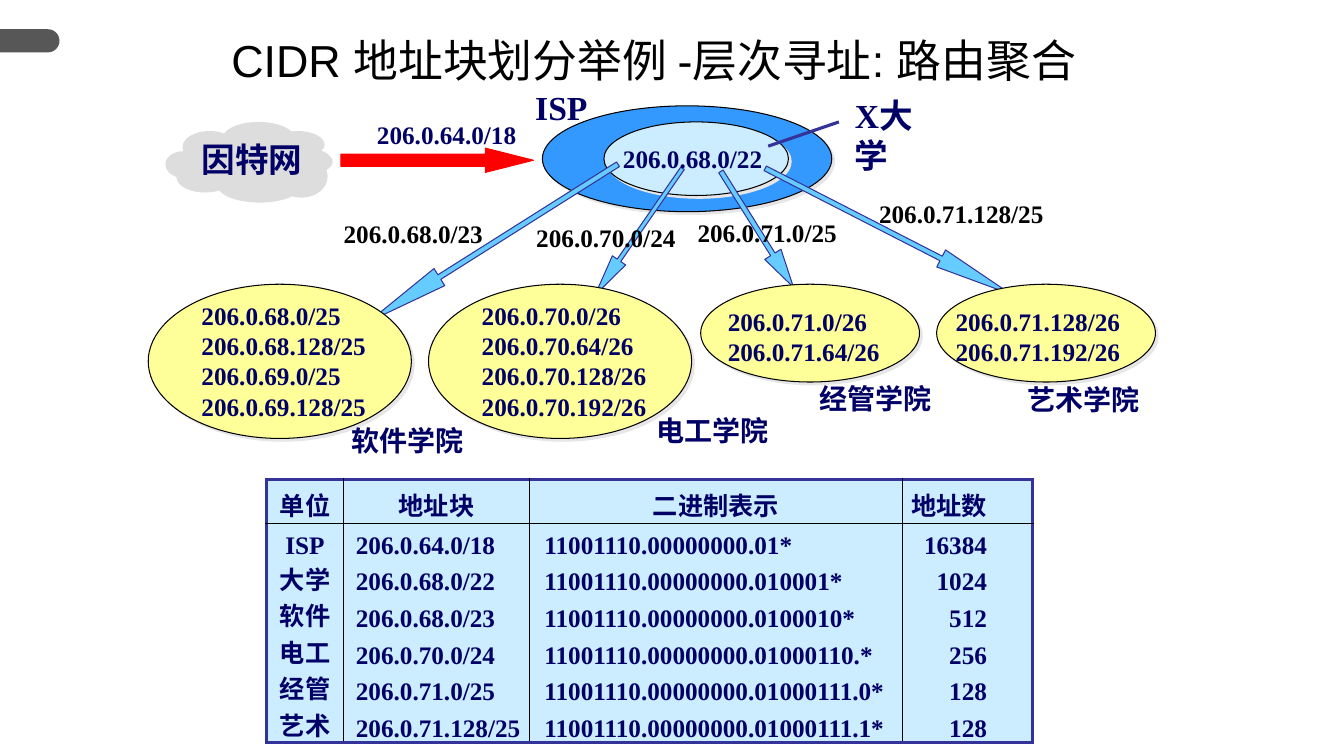
import math
from lxml import etree
from pptx import Presentation
from pptx.dml.color import RGBColor
from pptx.enum.shapes import MSO_CONNECTOR, MSO_SHAPE
from pptx.enum.text import MSO_ANCHOR, PP_ALIGN
from pptx.oxml.ns import qn
from pptx.util import Inches, Pt

OVAL, ARROW, TAB = MSO_SHAPE.OVAL, MSO_SHAPE.LEFT_ARROW, MSO_SHAPE.ROUND_2_SAME_RECTANGLE
LEFT, CENTER, RIGHT = PP_ALIGN.LEFT, PP_ALIGN.CENTER, PP_ALIGN.RIGHT
NAVY, INDIGO, BLACK, PALE_BLUE = "000066", "333399", "000000", "CCECFF"
SERIF = "Times New Roman"

TITLE = "CIDR 地址块划分举例 -层次寻址: 路由聚合"
CLOUD_PUFFS = [
    (2.21, 1.21, 0.71, 0.32), (1.81, 1.3, 0.54, 0.32), (1.64, 1.5, 0.36, 0.26),
    (1.75, 1.62, 0.55, 0.28), (2.15, 1.66, 0.83, 0.34), (2.69, 1.3, 0.52, 0.25),
    (2.77, 1.47, 0.52, 0.25), (2.72, 1.53, 0.52, 0.42), (1.94, 1.4, 1.07, 0.42),
]
NETWORKS = [((5.38, 1.05, 2.87, 1.05), "3399FF"), ((5.99, 1.21, 1.83, 0.73), PALE_BLUE)]
ROUTES = [
    ((3.38, 1.59), (5.29, 1.59), 0.24, (0.5, 1.98), "FF0000", "FF0000"),
    ((7.59, 1.67), (10.03, 2.92), 0.19, (0.27, 4.11), "66CCFF", INDIGO),
    ((6.13, 1.63), (3.66, 3.19), 0.2, (0.27, 4.13), "66CCFF", INDIGO),
    ((6.77, 1.67), (5.9, 2.93), 0.16, (0.27, 2.64), "66CCFF", INDIGO),
    ((7.15, 1.7), (7.87, 2.85), 0.19, (0.27, 2.03), "66CCFF", INDIGO),
]
COLLEGE_TOP = 2.82
LARGE, SMALL = (2.61, 1.53, 0.11), (2.17, 0.97, 0.17)
COLLEGES = [
    ("软件学院", (3.39, 4.15), 1.47, LARGE, 1.9,
     ["206.0.68.0/25", "206.0.68.128/25", "206.0.69.0/25", "206.0.69.128/25"]),
    ("电工学院", (6.41, 4.05), 4.25, LARGE, 4.68,
     ["206.0.70.0/26", "206.0.70.64/26", "206.0.70.128/26", "206.0.70.192/26"]),
    ("经管学院", (8.03, 3.74), 6.95, SMALL, 7.12, ["206.0.71.0/26", "206.0.71.64/26"]),
    ("艺术学院", (10.09, 3.75), 9.29, SMALL, 9.38, ["206.0.71.128/26", "206.0.71.192/26"]),
]
LABELS = [
    ("因特网", 1.9, 1.33, 1.21, 24, NAVY),
    ("ISP", 5.21, 0.81, 0.72, 24, NAVY),
    ("206.0.68.0/22", 6.08, 1.37, 1.58, 18, NAVY),
    ("206.0.64.0/18", 3.64, 1.13, 1.58, 18, NAVY),
    ("206.0.70.0/24", 5.22, 2.16, 1.58, 18, BLACK),
    ("206.0.71.128/25", 8.62, 1.92, 1.83, 18, BLACK),
    ("206.0.68.0/23", 3.31, 2.12, 1.58, 18, BLACK),
    ("206.0.71.0/25", 6.82, 2.11, 1.58, 18, BLACK),
]
ALLOCATIONS = [
    ("单位", "地址块", "二进制表示", "地址数"),
    ("ISP", "206.0.64.0/18", "11001110.00000000.01*", "16384"),
    ("大学", "206.0.68.0/22", "11001110.00000000.010001*", "1024"),
    ("软件", "206.0.68.0/23", "11001110.00000000.0100010*", "512"),
    ("电工", "206.0.70.0/24", "11001110.00000000.01000110.*", "256"),
    ("经管", "206.0.71.0/25", "11001110.00000000.01000111.0*", "128"),
    ("艺术", "206.0.71.128/25", "11001110.00000000.01000111.1*", "128"),
]
TABLE_LEFT, TABLE_TOP = 2.64, 4.76
HEADER_HEIGHT, ROW_HEIGHT = 0.43, 0.363
COLUMNS = [
    (0.77, 0, 0, CENTER, CENTER), (1.84, 0.12, 0, CENTER, LEFT),
    (3.7, 0.15, 0, CENTER, LEFT), (1.29, 0, 0.45, RIGHT, RIGHT),
]

prs = Presentation()
prs.slide_width, prs.slide_height = Inches(13.33), Inches(7.5)
slide = prs.slides.add_slide(prs.slide_layouts[5])


def color(value):
    return RGBColor.from_string(value)


def inches(*lengths):
    return [Inches(length) for length in lengths]


def write(paragraph, text, size, ink=NAVY, font=SERIF, bold=True):
    run = paragraph.add_run()
    run.text = text
    run.font.size, run.font.name, run.font.bold = Pt(size), font, bold
    run.font.color.rgb = color(ink)


def add_label(lines, left, top, width, size, ink=NAVY, wrap=False):
    height = 0.1 + len(lines) * size / 60
    frame = slide.shapes.add_textbox(*inches(left, top, width, height)).text_frame
    frame.word_wrap = wrap
    for index, line in enumerate(lines):
        paragraph = frame.add_paragraph() if index else frame.paragraphs[0]
        write(paragraph, line, size, ink)


def add_figure(preset, box, fill, outline=None, shadow=False, parent=slide.shapes):
    figure = parent.add_shape(preset, *inches(*box))
    figure.shadow.inherit = False
    figure.fill.solid()
    figure.fill.fore_color.rgb = color(fill)
    if outline:
        figure.line.color.rgb = color(outline)
        figure.line.width = Pt(0.75)
    else:
        figure.line.fill.background()
    if shadow:
        effects = figure._element.spPr.find(qn("a:effectLst"))
        cast = etree.SubElement(effects, qn("a:outerShdw"), dist=str(Pt(2.8)),
                                dir="2700000", algn="ctr", rotWithShape="0")
        etree.SubElement(cast, qn("a:srgbClr"), val="E7E6E6")
    return figure


def add_route(start, tip, thickness, proportions, fill, outline):
    length = math.dist(start, tip)
    middle_x, middle_y = (start[0] + tip[0]) / 2, (start[1] + tip[1]) / 2
    box = (middle_x - length / 2, middle_y - thickness / 2, length, thickness)
    route = add_figure(ARROW, box, fill, outline)
    route.rotation = math.degrees(math.atan2(start[1] - tip[1], start[0] - tip[0])) % 360
    for index, proportion in enumerate(proportions):
        route.adjustments[index] = proportion


def set_borders(cell, borders):
    properties = cell._tc.get_or_add_tcPr()
    for index, (side, border) in enumerate(zip("LRTB", borders)):
        edge = etree.Element(qn("a:ln" + side))
        if border:
            ink, width = border
            edge.set("w", str(Pt(width)))
            fill = etree.SubElement(edge, qn("a:solidFill"))
            etree.SubElement(fill, qn("a:srgbClr"), val=ink)
        else:
            edge.set("w", "0")
            etree.SubElement(edge, qn("a:noFill"))
        properties.insert(index, edge)


def add_allocation_table():
    last_row, last_column = len(ALLOCATIONS) - 1, len(COLUMNS) - 1
    width = sum(column[0] for column in COLUMNS)
    height = HEADER_HEIGHT + last_row * ROW_HEIGHT
    table = slide.shapes.add_table(last_row + 1, last_column + 1,
                                   *inches(TABLE_LEFT, TABLE_TOP, width, height)).table
    frame, rule = (INDIGO, 2.25), (BLACK, 0.75)
    for r, values in enumerate(ALLOCATIONS):
        table.rows[r].height = Inches(ROW_HEIGHT if r else HEADER_HEIGHT)
        for c, (column_width, left, right, header_align, align) in enumerate(COLUMNS):
            table.columns[c].width = Inches(column_width)
            cell = table.cell(r, c)
            cell.fill.solid()
            cell.fill.fore_color.rgb = color(PALE_BLUE)
            cell.margin_left, cell.margin_right = inches(left if r else 0, right)
            cell.margin_top = cell.margin_bottom = 0
            cell.vertical_anchor = MSO_ANCHOR.BOTTOM
            paragraph = cell.text_frame.paragraphs[0]
            paragraph.alignment = align if r else header_align
            write(paragraph, values[c], 18)
            set_borders(cell, (
                rule if c else frame, frame if c == last_column else rule,
                frame if r == 0 else rule if r == 1 else None,
                frame if r == last_row else None if r else rule))


tab = add_figure(TAB, (0.18, 0.11, 0.23, 0.59), "575757")
tab.rotation = 90
tab.adjustments[0] = 0.5

title = slide.shapes.title
title.left, title.top, title.width, title.height = inches(0.27, 0.28, 12.43, 0.69)
title.text_frame.vertical_anchor = MSO_ANCHOR.MIDDLE
heading = title.text_frame.paragraphs[0]
heading.alignment, heading.line_spacing = CENTER, 0.9
write(heading, TITLE, 32, BLACK, "Arial", False)

cloud = slide.shapes.add_group_shape()
for offset in (0.01, 0):
    for left, top, width, height in CLOUD_PUFFS:
        add_figure(OVAL, (left + offset, top + offset, width, height), "DDDDDD",
                   parent=cloud.shapes)

for box, fill in NETWORKS:
    add_figure(OVAL, box, fill, BLACK, True)
for route in ROUTES:
    add_route(*route)

pointer = slide.shapes.add_connector(MSO_CONNECTOR.STRAIGHT, *inches(7.62, 1.45, 8.32, 1.21))
pointer.line.color.rgb, pointer.line.width = color(INDIGO), Pt(2.25)
etree.SubElement(pointer._element.spPr, qn("a:effectLst"))
add_label(["X大学"], 8.38, 0.89, 1, 24, wrap=True)

for name, name_at, left, (width, height, inset), blocks_left, blocks in COLLEGES:
    add_figure(OVAL, (left, COLLEGE_TOP, width, height), "FFFF99", BLACK, True)
    add_label(blocks, blocks_left, COLLEGE_TOP + inset, 1.83, 18)
    add_label([name], *name_at, 1.33, 20)
for text, *placing in LABELS:
    add_label([text], *placing)

add_allocation_table()
prs.save("out.pptx")
